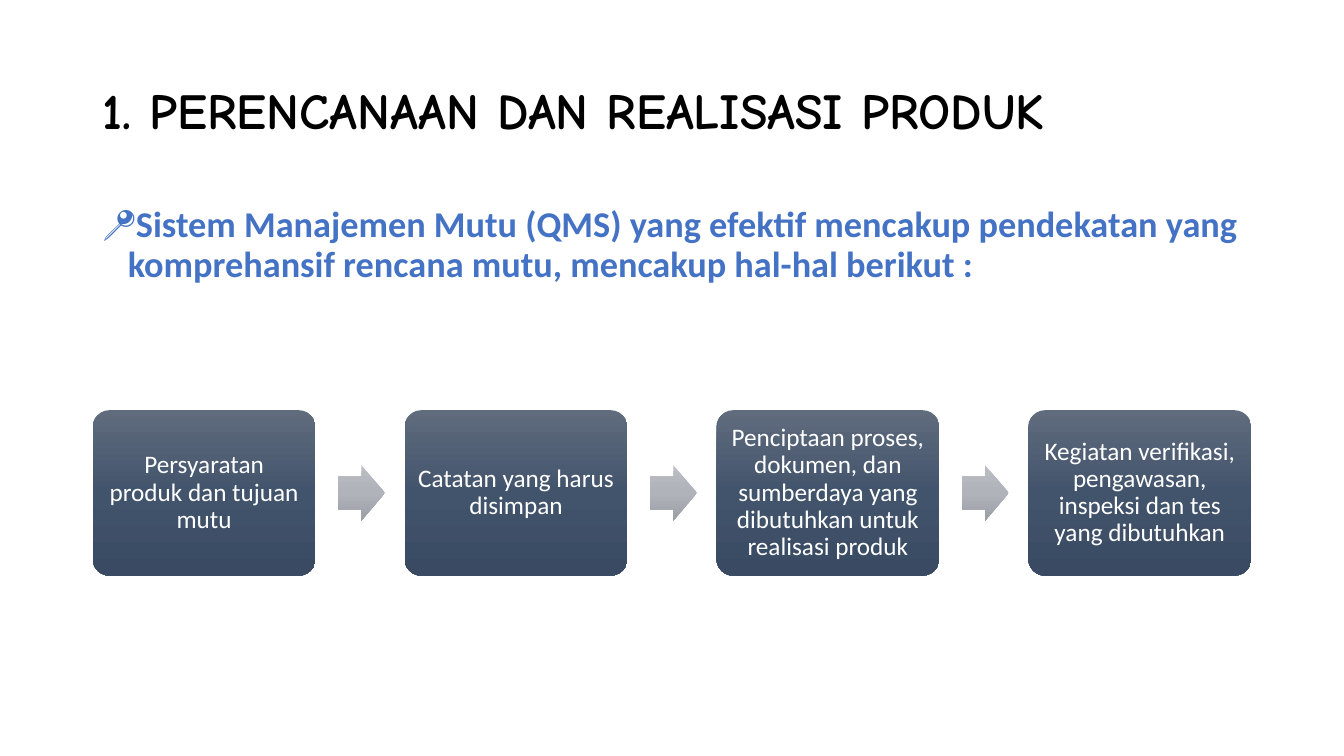
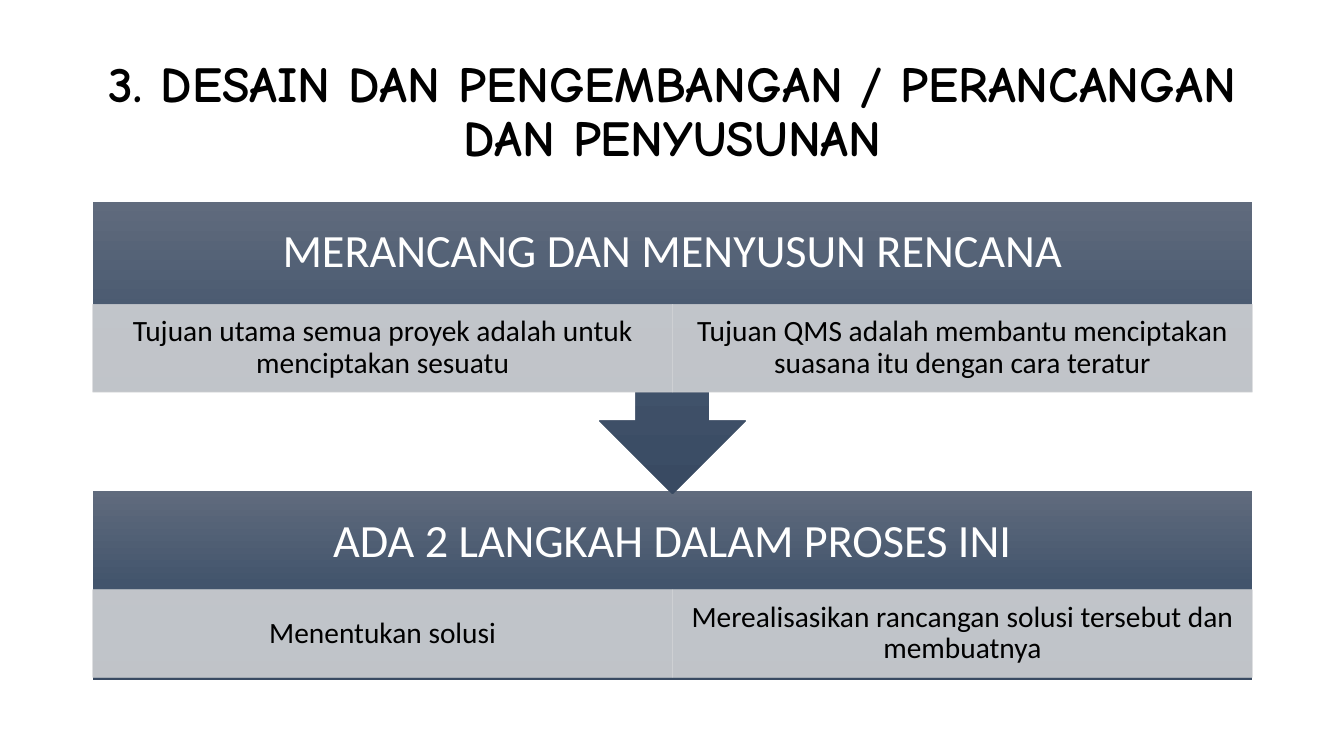
from lxml.etree import SubElement
from pptx import Presentation
from pptx.dml.color import RGBColor
from pptx.enum.shapes import MSO_SHAPE
from pptx.enum.text import MSO_ANCHOR, MSO_AUTO_SIZE, PP_ALIGN
from pptx.oxml.ns import qn
from pptx.util import Inches, Pt

STEPS_TITLE = "1. PERENCANAAN DAN REALISASI PRODUK"
INTRO = ("Sistem Manajemen Mutu (QMS) yang efektif mencakup pendekatan yang "
         "komprehansif rencana mutu, mencakup hal-hal berikut :")
STEPS = [
    "Persyaratan produk dan tujuan mutu",
    "Catatan yang harus disimpan",
    "Penciptaan proses, dokumen, dan sumberdaya yang dibutuhkan untuk realisasi produk",
    "Kegiatan verifikasi, pengawasan, inspeksi dan tes yang dibutuhkan",
]
DESIGN_TITLE = "3. DESAIN DAN PENGEMBANGAN / PERANCANGAN DAN PENYUSUNAN"
STAGES = [
    {"heading": "ADA 2 LANGKAH DALAM PROSES INI",
     "details": ["Menentukan solusi",
                 "Merealisasikan rancangan solusi tersebut dan membuatnya"],
     "outline": MSO_SHAPE.RECTANGLE, "top": 4.87, "height": 1.88, "details_top": 5.85},
    {"heading": "MERANCANG DAN MENYUSUN RENCANA",
     "details": ["Tujuan utama semua proyek adalah untuk menciptakan sesuatu",
                 "Tujuan QMS adalah membantu menciptakan suasana itu dengan cara teratur"],
     "outline": MSO_SHAPE.DOWN_ARROW_CALLOUT, "top": 2, "height": 2.9, "details_top": 3.02},
]

COLORS = {"title": "000000", "intro": "4472C4", "light": "FFFFFF",
          "dark": "000000", "detail": "CFD1D4"}
SLATE = [(0, "606B7D"), (50, "42546C"), (100, "394A62")]
SILVER = [(0, "BABDC2"), (50, "B0B3BA"), (100, "9C9FA6")]
TITLE_FONT, BODY_FONT = "Comic Neue", "Calibri"

SLIDE_W, SLIDE_H = 13.33, 7.5
LEFT, CONTENT_W = 0.92, 11.5
STEPS_W, STEP_TOP, STEP_H, GAP_SHARE = 11.49, 4.07, 1.64, 0.4
STEP_INSET = 5.4 / 72
HEADING_H, DETAIL_H = 1.02, 0.87


def write(holder, text, size, color, font=BODY_FONT, bold=False,
          align=PP_ALIGN.CENTER, anchor=MSO_ANCHOR.MIDDLE, insets=(0.1, 0.05)):
    frame = holder.text_frame
    frame.text = text
    frame.word_wrap = True
    frame.auto_size = MSO_AUTO_SIZE.NONE
    frame.vertical_anchor = anchor
    frame.margin_left = frame.margin_right = Inches(insets[0])
    frame.margin_top = frame.margin_bottom = Inches(insets[1])
    paragraph = frame.paragraphs[0]
    paragraph.alignment = align
    paragraph.line_spacing = 0.9
    style = paragraph.runs[0].font
    style.name, style.size, style.bold = font, Pt(size), bold
    style.color.rgb = RGBColor.from_string(COLORS[color])
    return paragraph


def add_titled_slide(deck, text, align):
    slide = deck.slides.add_slide(deck.slide_layouts[5])
    title = slide.shapes.title
    title.left, title.top = Inches(LEFT), Inches(0.4)
    title.width, title.height = Inches(CONTENT_W), Inches(1.45)
    write(title, text, 36, "title", TITLE_FONT, True, align)
    return slide


def add_plain(slide, outline, *box):
    shape = slide.shapes.add_shape(outline, *map(Inches, box))
    shape.shadow.inherit = False
    shape.line.fill.background()
    return shape


def add_shaded(slide, outline, stops, *box):
    shape = add_plain(slide, outline, *box)
    shape.fill.gradient()
    shape.fill.gradient_angle = 270
    stop_list = shape._element.spPr.find(qn("a:gradFill")).find(qn("a:gsLst"))
    for old in list(stop_list):
        stop_list.remove(old)
    for percent, color in stops:
        stop = SubElement(stop_list, qn("a:gs"), pos=str(percent * 1000))
        SubElement(stop, qn("a:srgbClr"), val=color)
    return shape


def add_detail(slide, text, *box):
    cell = add_plain(slide, MSO_SHAPE.RECTANGLE, *box)
    cell.line.width = Pt(0.5)
    for fill in (cell.fill, cell.line.fill):
        fill.solid()
        fill.fore_color.rgb = RGBColor.from_string(COLORS["detail"])
    for color in cell._element.spPr.iter(qn("a:srgbClr")):
        SubElement(color, qn("a:alpha"), val="90000")
    write(cell, text, 21, "dark", insets=(0.16, 0.03))


def add_intro(slide):
    intro = slide.shapes.add_textbox(*map(Inches, (LEFT, 2, CONTENT_W, 1.02)))
    paragraph = write(intro, INTRO, 25.9, "intro", bold=True,
                      align=PP_ALIGN.LEFT, anchor=MSO_ANCHOR.TOP)
    paragraph.space_before = Pt(10)
    properties = paragraph._p.get_or_add_pPr()
    properties.set("marL", str(Inches(0.25)))
    properties.set("indent", str(-Inches(0.25)))
    SubElement(properties, qn("a:buFont"), typeface=BODY_FONT)
    SubElement(properties, qn("a:buChar"), char="📍")


def build_steps(deck):
    slide = add_titled_slide(deck, STEPS_TITLE, PP_ALIGN.LEFT)
    add_intro(slide)
    step_w = STEPS_W / (len(STEPS) + GAP_SHARE * (len(STEPS) - 1))
    arrow_w, arrow_h = step_w * 0.212, step_w * 0.248
    for index, text in enumerate(STEPS):
        x = LEFT + index * step_w * (1 + GAP_SHARE)
        if index:
            arrow = add_shaded(slide, MSO_SHAPE.RIGHT_ARROW, SILVER,
                               x - step_w * 0.3, STEP_TOP + (STEP_H - arrow_h) / 2,
                               arrow_w, arrow_h)
            arrow.adjustments[0] = 0.6
        step = add_shaded(slide, MSO_SHAPE.ROUNDED_RECTANGLE, SLATE,
                          x, STEP_TOP, step_w, STEP_H)
        step.adjustments[0] = 0.1
        write(step, text, 18, "light", insets=(STEP_INSET, STEP_INSET))


def build_design(deck):
    slide = add_titled_slide(deck, DESIGN_TITLE, PP_ALIGN.CENTER)
    for stage in STAGES:
        add_shaded(slide, stage["outline"], SLATE,
                   LEFT, stage["top"], CONTENT_W, stage["height"])
        heading = slide.shapes.add_textbox(
            *map(Inches, (LEFT, stage["top"], CONTENT_W, HEADING_H)))
        write(heading, stage["heading"], 33, "light", insets=(0.26, 0.26))
        detail_w = CONTENT_W / len(stage["details"])
        for column, text in enumerate(stage["details"]):
            add_detail(slide, text, LEFT + column * detail_w,
                       stage["details_top"], detail_w, DETAIL_H)


def main():
    deck = Presentation()
    deck.slide_width, deck.slide_height = Inches(SLIDE_W), Inches(SLIDE_H)
    build_steps(deck)
    build_design(deck)
    deck.save("out.pptx")


if __name__ == "__main__":
    main()
